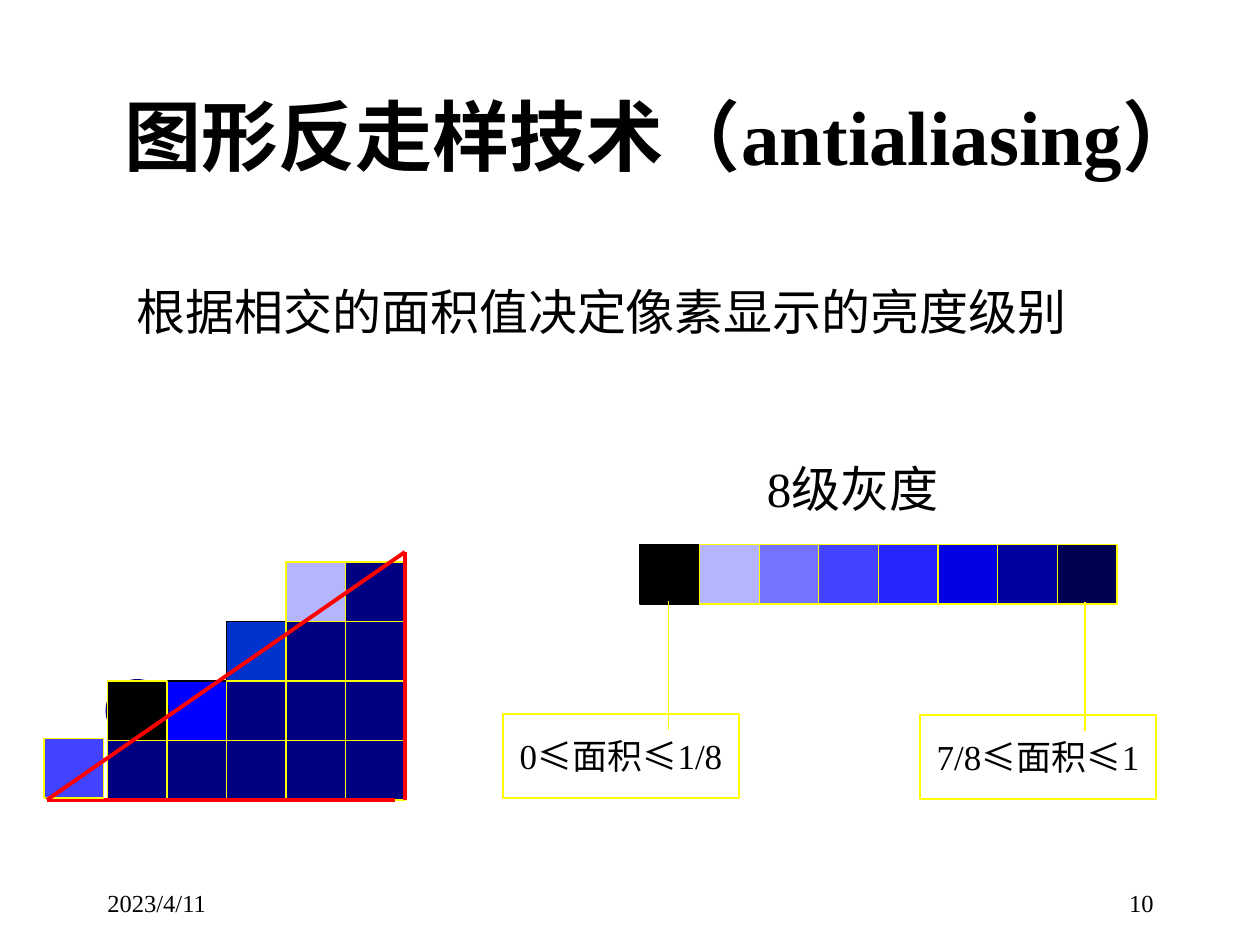
from dataclasses import dataclass

from lxml import etree
from pptx import Presentation
from pptx.dml.color import RGBColor
from pptx.enum.shapes import MSO_CONNECTOR, MSO_SHAPE
from pptx.enum.text import MSO_ANCHOR, MSO_AUTO_SIZE, PP_ALIGN
from pptx.oxml.ns import qn
from pptx.util import Pt

PX = 914400 / 126
RECT, OVAL, CALLOUT = MSO_SHAPE.RECTANGLE, MSO_SHAPE.OVAL, MSO_SHAPE.LINE_CALLOUT_2
STRAIGHT = MSO_CONNECTOR.STRAIGHT
LEFT, CENTER, RIGHT = PP_ALIGN.LEFT, PP_ALIGN.CENTER, PP_ALIGN.RIGHT
MIDDLE = MSO_ANCHOR.MIDDLE
NO_FIT = MSO_AUTO_SIZE.NONE


@dataclass(frozen=True)
class Theme:
    font: str = "Times New Roman"
    symbol_font: str = "Noto Sans CJK SC"
    text: str = "000000"
    black: str = "000000"
    border: str = "FFFF00"
    edge: str = "FF0000"
    inside: str = "000080"
    corner: str = "4343FF"
    steps: tuple = ("0000FF", "0033CC", "B5B5FF")
    levels: tuple = ("000000", "B5B5FF", "7373FF", "4343FF",
                     "2525FF", "0000E2", "00009C", "000052")
    title_size: int = 44
    body_size: int = 28
    label_size: int = 20
    footer_size: int = 14
    thin: float = 0.75
    thick: float = 2.25


THEME = Theme()


def emu(*lengths):
    return [round(v * PX) for v in lengths]


def rgb(color):
    return RGBColor.from_string(color)


def style(p, size, align, bold=False):
    p.alignment = align
    p.font.name = THEME.font
    p.font.size = Pt(size)
    p.font.bold = bold
    p.font.color.rgb = rgb(THEME.text)


def add_text(shapes, box, text, size, align):
    sp = shapes.add_textbox(*emu(*box))
    tf = sp.text_frame
    tf.word_wrap = True
    tf.text = text
    style(tf.paragraphs[0], size, align)


def add_shape(shapes, kind, box, fill=None, line=THEME.border, width=THEME.thin):
    sp = shapes.add_shape(kind, *emu(*box))
    sp.shadow.inherit = False
    if fill:
        sp.fill.solid()
        sp.fill.fore_color.rgb = rgb(fill)
    else:
        sp.fill.background()
    sp.line.color.rgb = rgb(line)
    sp.line.width = Pt(width)
    return sp


def add_edge(shapes, start, end):
    line = shapes.add_connector(STRAIGHT, *emu(*start, *end))
    line.line.color.rgb = rgb(THEME.edge)
    line.line.width = Pt(THEME.thick)
    etree.SubElement(line._element.spPr, qn("a:effectLst"))


def add_title(slide, box, text):
    sp = slide.shapes.title
    sp.left, sp.top, sp.width, sp.height = emu(*box)
    tf = sp.text_frame
    tf.word_wrap = True
    tf.auto_size = NO_FIT
    tf.vertical_anchor = MIDDLE
    tf.text = text
    style(tf.paragraphs[0], THEME.title_size, LEFT, bold=True)


def add_triangle(slide, box):
    shapes = slide.shapes.add_group_shape().shapes
    left, top, width, height = box
    right, bottom = left + width, top + height
    rows, cols = 4, 5
    side = (height - 10) / rows

    def cell(col, row):
        return right - (cols - col) * side, bottom - (rows - row) * side, side, side

    for row in range(rows):
        first = rows - 1 - row
        for col in range(first, cols):
            if col == first and first > 0:
                fill = THEME.steps[first - 1]
                line = THEME.border if row == 0 else THEME.black
                add_shape(shapes, RECT, cell(col, row), fill, line)
            else:
                add_shape(shapes, RECT, cell(col, row), THEME.inside)
    start, apex = (left + 3, bottom), (right, top)
    add_edge(shapes, start, (right - 10, bottom))
    add_edge(shapes, (right, bottom), apex)
    add_shape(shapes, OVAL, cell(0, 2), None, THEME.inside, THEME.thick)
    add_shape(shapes, RECT, (left, bottom - side - 2, side, side), THEME.corner)
    add_shape(shapes, RECT, cell(0, 2), THEME.black)
    add_edge(shapes, start, apex)


def add_scale(slide, box, caption):
    shapes = slide.shapes.add_group_shape().shapes
    left, top, width, height = box
    side = width / len(THEME.levels)
    for i, fill in enumerate(THEME.levels):
        line = THEME.border if i else THEME.black
        add_shape(shapes, RECT, (left + i * side, top + height - side, side, side), fill, line)
    add_text(shapes, (left + 29, top, 367, 72), caption, THEME.body_size, CENTER)


def add_callout(slide, box, lower, upper):
    sp = add_shape(slide.shapes, CALLOUT, box)
    for i, value in enumerate((0.19, 0.7, 0.19, 0.7, -1.35, 0.7)):
        sp.adjustments[i] = value
    tf = sp.text_frame
    tf.word_wrap = True
    tf.vertical_anchor = MIDDLE
    p = tf.paragraphs[0]
    style(p, THEME.label_size, CENTER)
    for text, font in ((lower, THEME.font), ("≤", THEME.symbol_font),
                       (f"面积≤{upper}", THEME.font)):
        r = p.add_run()
        r.text = text
        r.font.name = font


def add_footer(slide, box, date, number):
    left, top, width, height = box
    part = 262
    add_text(slide.shapes, (left, top, part, height), date, THEME.footer_size, LEFT)
    add_text(slide.shapes, (left + width - part, top, part, height),
             number, THEME.footer_size, RIGHT)


def main():
    prs = Presentation()
    prs.slide_width, prs.slide_height = emu(1260, 945)
    slide = prs.slides.add_slide(prs.slide_layouts[5])
    add_footer(slide, (95, 882, 1071, 63), "2023/4/11", "10")
    add_title(slide, (112, 35, 1111, 199), "图形反走样技术（antialiasing）")
    add_triangle(slide, (44, 552, 361, 248))
    add_scale(slide, (640, 452, 477, 152), "8级灰度")
    add_callout(slide, (503, 714, 236, 84), "0", "1/8")
    add_callout(slide, (920, 715, 236, 84), "7/8", "1")
    add_text(slide.shapes, (105, 275, 993, 72),
             "根据相交的面积值决定像素显示的亮度级别", THEME.body_size, CENTER)
    prs.save("out.pptx")


if __name__ == "__main__":
    main()
